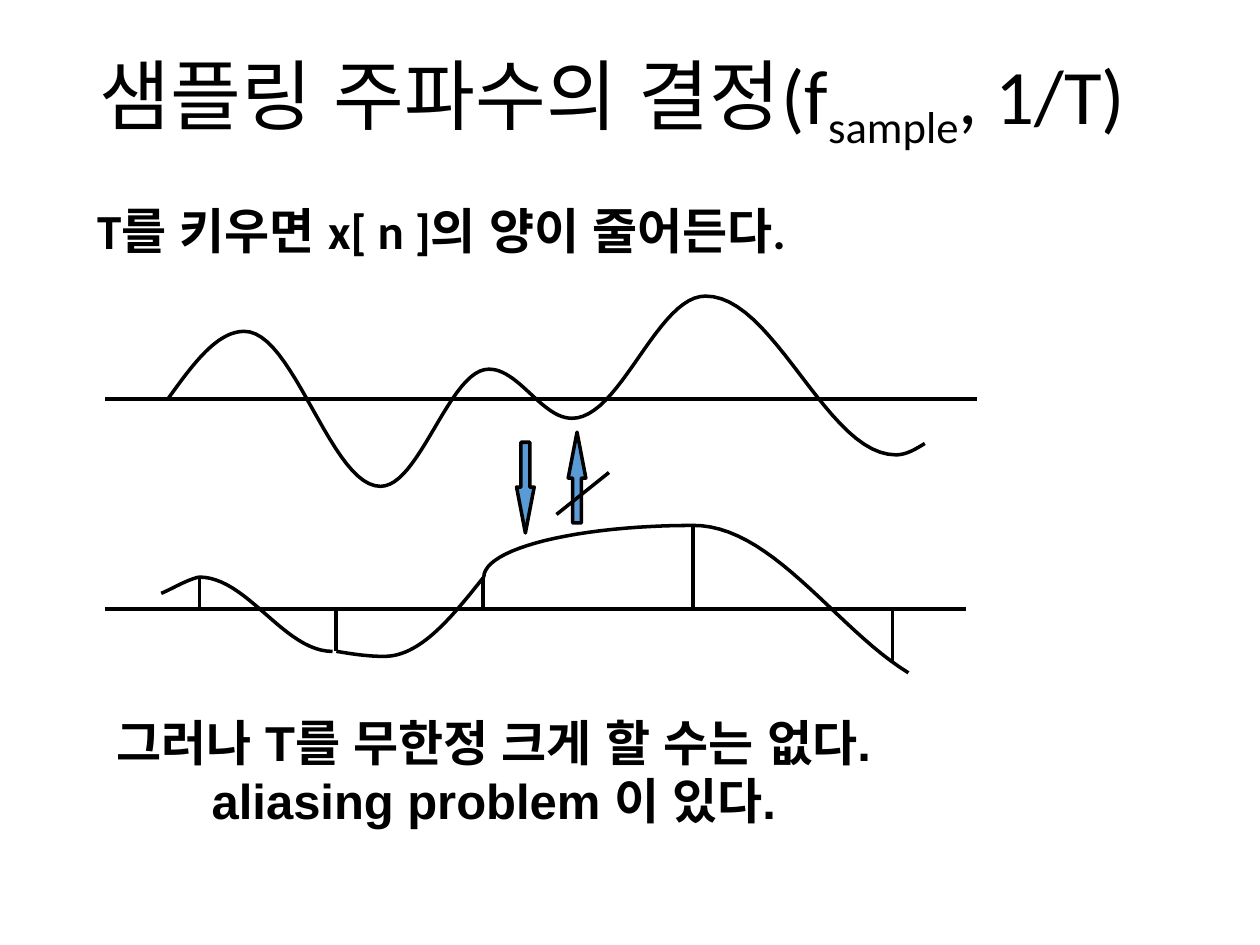
from math import cos, sin, radians
from itertools import pairwise
from lxml import etree
from pptx import Presentation, util as u
from pptx.dml.color import RGBColor
from pptx.enum import shapes as sh, text as tx
from pptx.oxml.ns import qn

BLACK = RGBColor(0, 0, 0)
BLUE = RGBColor(0x5B, 0x9B, 0xD5)
PEN = u.Pt(2)
STEPS = 24

deck = Presentation()
deck.slide_width, deck.slide_height = u.Inches(10), u.Inches(7.5)
W, H = deck.slide_width, deck.slide_height
COL, ROW = W / 12, H / 9
UNIT = W / 1000
page = deck.slides.add_slide(deck.slide_layouts[1])
items = page.shapes


def style(box, size, face, bold):
    for para in box.text_frame.paragraphs:
        for run in para.runs:
            run.font.size = u.Pt(size)
            run.font.name = face
            run.font.bold = bold
            run.font.color.rgb = BLACK
            etree.SubElement(run.font._element, qn("a:ea")).set("typeface", "Arial")


def swing(start, end, first=0, last=180):
    (x1, y1), (x2, y2) = start, end
    top, low = cos(radians(first)), cos(radians(last))
    dots = []
    for step in range(STEPS + 1):
        part = step / STEPS
        turn = radians(first + (last - first) * part)
        dots.append((x1 + (x2 - x1) * part, y1 + (y2 - y1) * (top - cos(turn)) / (top - low)))
    return dots


title = items.title
title.left, title.top = int(W * 0.069), int(H * 0.005)
title.width, title.height = int(W * 0.862), int(H * 0.193)
head = title.text_frame
head.auto_size = tx.MSO_AUTO_SIZE.NONE
head.vertical_anchor = tx.MSO_ANCHOR.MIDDLE
para = head.paragraphs[0]
para.alignment = tx.PP_ALIGN.LEFT
para.line_spacing = 0.9
for part in ("샘플링 주파수의 결정(f", "sample", ", 1/T)"):
    para.add_run().text = part
style(title, 44, "Calibri", False)
para.runs[1].font._element.set("baseline", "-25000")

body = items.placeholders[1]
body.left, body.top = int(W * 0.042), int(H * 0.212)
body.width, body.height = int(W * 0.85), int(H * 0.09)
body.text_frame.text = "T를 키우면 x[ n ]의 양이 줄어든다."
body.text_frame.auto_size = tx.MSO_AUTO_SIZE.NONE
para = body.text_frame.paragraphs[0]
para.line_spacing = 0.9
para.space_before = u.Pt(0)
props = para._p.get_or_add_pPr()
props.set("marL", str(u.Inches(0.25)))
props.set("indent", str(-u.Inches(0.25)))
etree.SubElement(props, qn("a:buChar")).set("char", " ")
style(body, 28, "Calibri", True)

peaks = [(194, 263), (302, 386), (388, 293), (454, 332), (560, 235), (711, 361)]
wave = swing((133, 317), peaks[0], 90, 180)
for start, end in pairwise(peaks):
    wave += swing(start, end)[1:]
wave += swing(peaks[-1], (734, 352), 0, 90)[1:]

crest, knee, summit = (158, 458), (384, 458), (550, 417)
rise = swing((128, 471), crest, 60, 150)
fall = swing(crest, (264, 517))
trough = (305, 521)
dip = swing((267, 517), trough, 90, 180) + swing(trough, knee, 0, 90)[1:]
slope = swing(summit, (721, 534), 0, 140)
wide, tall = summit[0] - knee[0], knee[1] - summit[1]
turns = [radians(90 * step / STEPS) for step in range(STEPS + 1)]
bulge = [(summit[0] - wide * cos(turn), knee[1] - tall * sin(turn)) for turn in turns]

for curve in (wave, rise, fall, dip, bulge, slope):
    dots = [(x * UNIT, y * UNIT) for x, y in curve]
    pen = items.build_freeform(*dots[0])
    pen.add_line_segments(dots[1:], close=False)
    trace = pen.convert_to_shape()
    trace.shadow.inherit = False
    trace.fill.background()
    trace.line.color.rgb = BLACK
    trace.line.width = PEN

for kind, x, y in ((sh.MSO_SHAPE.DOWN_ARROW, 410, 351), (sh.MSO_SHAPE.UP_ARROW, 451, 343)):
    arrow = items.add_shape(kind, int(x * UNIT), int(y * UNIT), int(14 * UNIT), int(72 * UNIT))
    arrow.adjustments[0], arrow.adjustments[1] = 0.5, 2.6
    arrow.shadow.inherit = False
    arrow.fill.solid()
    arrow.fill.fore_color.rgb = BLUE
    arrow.line.color.rgb = BLACK
    arrow.line.width = PEN

AXIS, BASE = 3.8, 5.8
axes = [(1, AXIS, 9.3, AXIS), (1, BASE, 9.2, BASE)]
stems = [(1.9, 5.5), (3.2, 6.2), (4.6, 5.5), (6.6, 5), (8.5, 6.3)]
slash = (5.3, 4.9, 5.8, 4.5)
for x1, y1, x2, y2 in axes + [(x, BASE, x, y) for x, y in stems] + [slash]:
    line = items.add_connector(sh.MSO_CONNECTOR.STRAIGHT, int(x1 * COL), int(y1 * ROW),
                               int(x2 * COL), int(y2 * ROW))
    line.line.color.rgb = BLACK
    line.line.width = PEN
    etree.SubElement(line._element.spPr, qn("a:effectLst"))

note = items.add_textbox(int(W * 0.062), int(H * 0.747), int(W * 0.66), int(H * 0.139))
note.text_frame.text = "그러나 T를 무한정 크게 할 수는 없다.\n aliasing problem 이 있다. "
note.text_frame.word_wrap = False
note.text_frame.auto_size = tx.MSO_AUTO_SIZE.SHAPE_TO_FIT_TEXT
for para in note.text_frame.paragraphs:
    para.alignment = tx.PP_ALIGN.CENTER
style(note, 28, "Arial", True)

deck.save("out.pptx")
